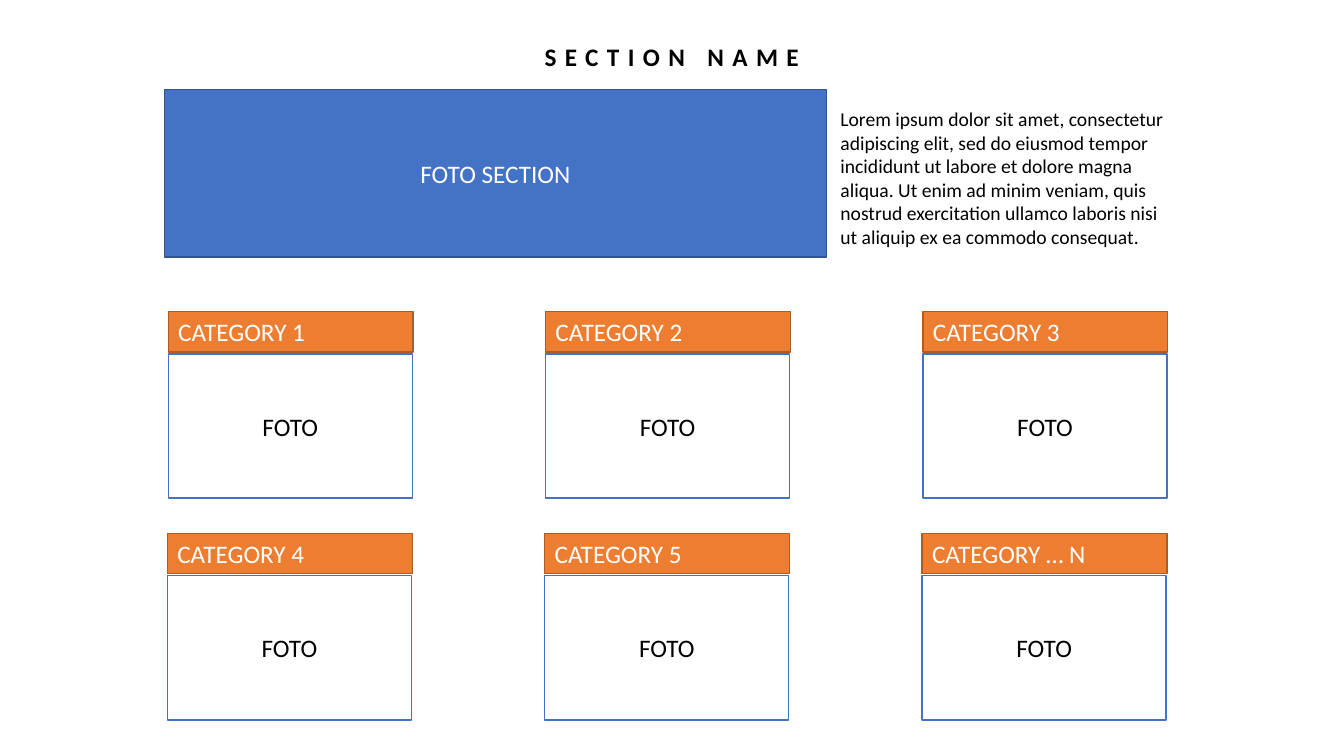
from pptx import Presentation
from pptx.dml.color import RGBColor
from pptx.enum.shapes import MSO_SHAPE
from pptx.enum.text import MSO_ANCHOR, MSO_AUTO_SIZE, PP_ALIGN
from pptx.util import Cm, Pt

BLACK = RGBColor(0x00, 0x00, 0x00)
WHITE = RGBColor(0xFF, 0xFF, 0xFF)
BLUE = RGBColor(0x44, 0x72, 0xC4)
DARK_BLUE = RGBColor(0x32, 0x54, 0x91)
ORANGE = RGBColor(0xED, 0x7D, 0x31)
DARK_ORANGE = RGBColor(0xAF, 0x5C, 0x24)

DESCRIPTION = (
    "Lorem ipsum dolor sit amet, consectetur adipiscing elit, sed do eiusmod "
    "tempor incididunt ut labore et dolore magna aliqua. Ut enim ad minim "
    "veniam, quis nostrud exercitation ullamco laboris nisi ut aliquip ex ea "
    "commodo consequat."
)
CATEGORY_ROWS = [
    ["CATEGORY 1", "CATEGORY 2", "CATEGORY 3"],
    ["CATEGORY 4", "CATEGORY 5", "CATEGORY … N"],
]


class SectionSlide:
    font = "Calibri"
    size = 18

    def __init__(self, prs):
        self.s = prs.slides.add_slide(prs.slide_layouts[5])

    def add_text(self, sp, text, color, align=PP_ALIGN.LEFT, size=None,
                 anchor=MSO_ANCHOR.TOP):
        tf = sp.text_frame
        tf.word_wrap = True
        tf.auto_size = MSO_AUTO_SIZE.NONE
        tf.vertical_anchor = anchor
        p = tf.paragraphs[0]
        p.alignment = align
        r = p.add_run()
        r.text = text
        r.font.name = self.font
        r.font.size = Pt(size or self.size)
        r.font.color.rgb = color
        return r

    def title(self, text, x, y, w, h):
        sp = self.s.shapes.title
        sp.left, sp.top, sp.width, sp.height = Cm(x), Cm(y), Cm(w), Cm(h)
        r = self.add_text(sp, text, BLACK, PP_ALIGN.CENTER)
        r.font.bold = True
        # Letter spacing in hundredths of a point
        r._r.get_or_add_rPr().set("spc", "600")

    def text(self, text, x, y, w, h, color, **style):
        sp = self.s.shapes.add_textbox(Cm(x), Cm(y), Cm(w), Cm(h))
        self.add_text(sp, text, color, **style)

    def box(self, x, y, w, h, fill, line):
        sp = self.s.shapes.add_shape(
            MSO_SHAPE.RECTANGLE, Cm(x), Cm(y), Cm(w), Cm(h))
        sp.shadow.inherit = False
        sp.fill.solid()
        sp.fill.fore_color.rgb = fill
        sp.line.color.rgb = line
        sp.line.width = Pt(1)
        return sp

    def card(self, name, x, y):
        label = self.box(x, y, 6.17, 1.02, ORANGE, DARK_ORANGE)
        self.add_text(label, name, WHITE)
        photo = self.box(x, y + 1.07, 6.15, 3.63, WHITE, BLUE)
        self.add_text(photo, "FOTO", BLACK, PP_ALIGN.CENTER,
                      anchor=MSO_ANCHOR.MIDDLE)


def main():
    prs = Presentation()
    prs.slide_width, prs.slide_height = Cm(33.87), Cm(19.05)
    slide = SectionSlide(prs)

    # Section header
    slide.title("SECTION NAME", 12.22, 0.91, 9.42, 1.02)
    slide.text(DESCRIPTION, 20.93, 2.57, 8.79, 3.84, BLACK, size=14)
    slide.box(4.14, 2.26, 16.69, 4.22, BLUE, DARK_BLUE)
    slide.text("FOTO SECTION", 8.99, 3.86, 6.99, 1.02, WHITE,
               align=PP_ALIGN.CENTER)

    # Category cards
    for row, names in enumerate(CATEGORY_ROWS):
        for col, name in enumerate(names):
            slide.card(name, 4.24 + 9.51 * col - 0.02 * row, 7.85 + 5.59 * row)

    prs.save("out.pptx")


if __name__ == "__main__":
    main()
